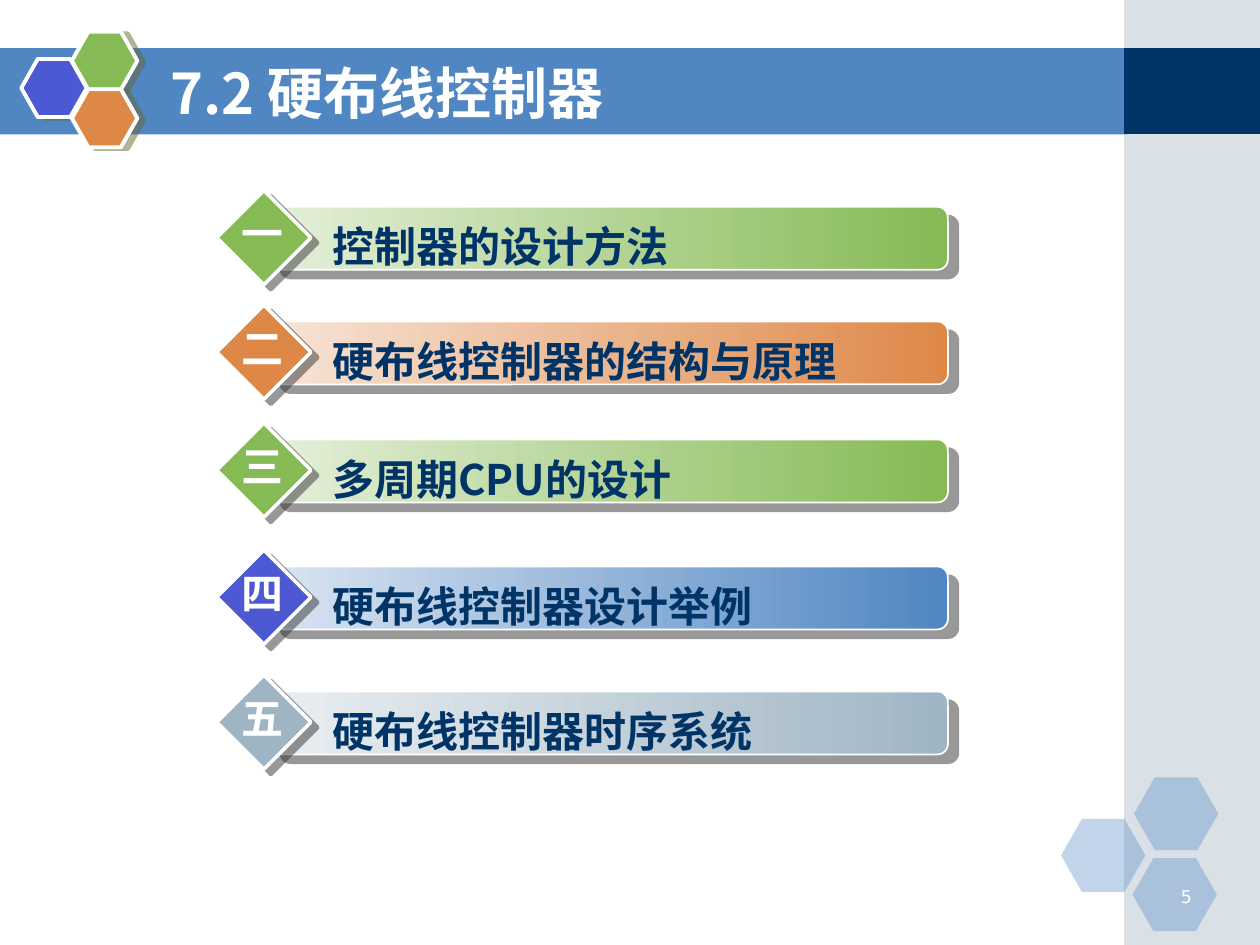
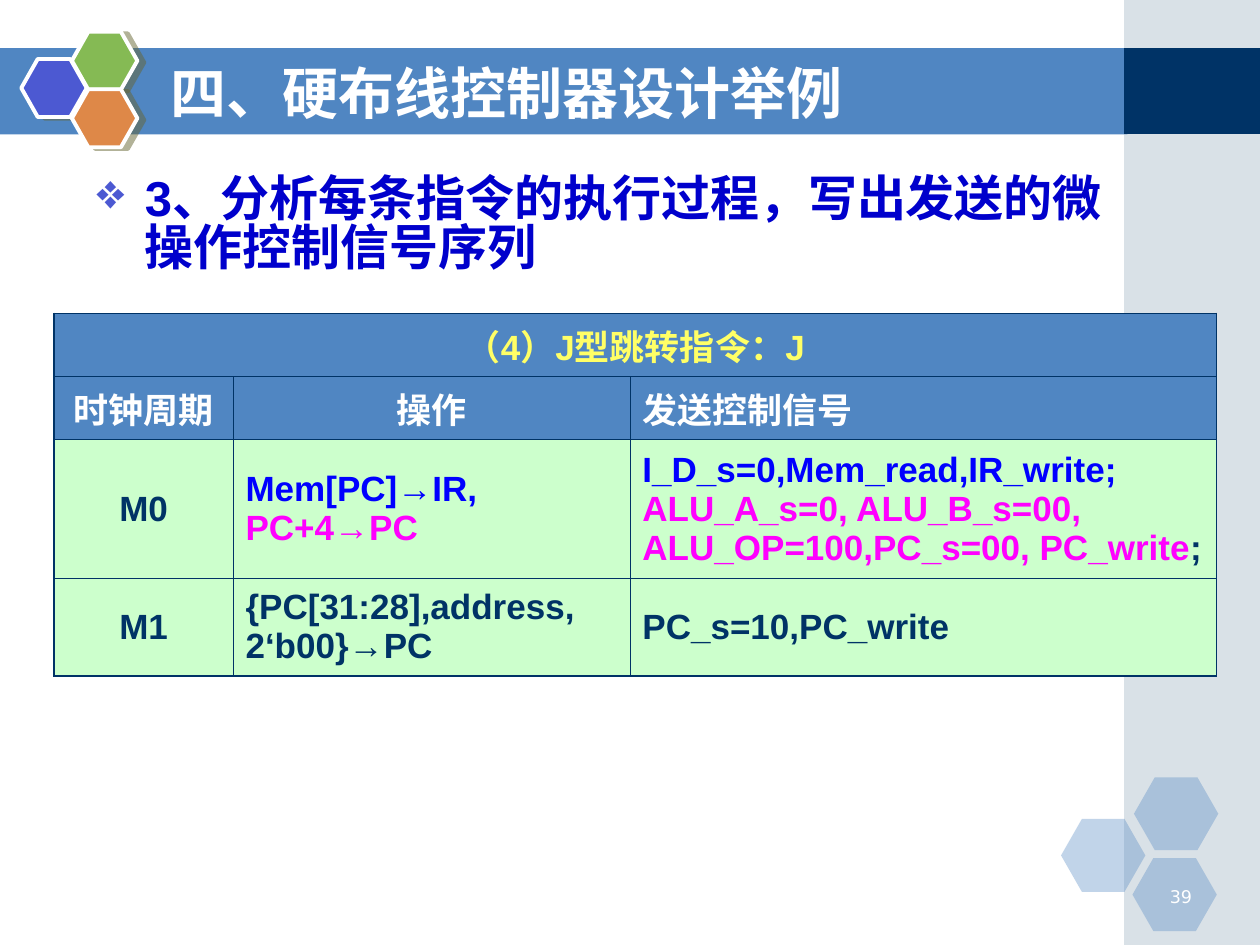
from lxml import etree
from pptx import Presentation
from pptx.dml.color import RGBColor
from pptx.enum.shapes import MSO_SHAPE
from pptx.enum.text import MSO_ANCHOR, MSO_AUTO_SIZE, PP_ALIGN
from pptx.oxml.ns import qn
from pptx.util import Cm, Pt

RECTANGLE = MSO_SHAPE.RECTANGLE
HEXAGON = MSO_SHAPE.HEXAGON
DIAMOND = MSO_SHAPE.DIAMOND
ROUNDED = MSO_SHAPE.ROUNDED_RECTANGLE
LEFT, CENTER, RIGHT = PP_ALIGN.LEFT, PP_ALIGN.CENTER, PP_ALIGN.RIGHT
MIDDLE = MSO_ANCHOR.MIDDLE

WHITE = RGBColor(0xFF, 0xFF, 0xFF)
NAVY = RGBColor(0x00, 0x33, 0x66)
BLUE = RGBColor(0x50, 0x86, 0xC2)
PALE_BLUE = RGBColor(0xD9, 0xE4, 0xF1)
INDIGO = RGBColor(0x4C, 0x59, 0xD2)
GREEN = RGBColor(0x85, 0xBA, 0x54)
PALE_GREEN = RGBColor(0xE4, 0xEF, 0xD9)
ORANGE = RGBColor(0xDE, 0x88, 0x48)
PALE_ORANGE = RGBColor(0xF7, 0xE4, 0xD7)
GREY = RGBColor(0xA0, 0xB5, 0xC4)
PALE_GREY = RGBColor(0xE9, 0xEE, 0xF1)
MINT = RGBColor(0xCC, 0xFF, 0xCC)
YELLOW = RGBColor(0xFF, 0xFF, 0x66)
BODY_BLUE = RGBColor(0x00, 0x00, 0xCC)
SIGNAL_BLUE = RGBColor(0x00, 0x00, 0xFF)
MAGENTA = RGBColor(0xFF, 0x00, 0xFF)
OLIVE_SHADOW = RGBColor(0x66, 0x66, 0x33)
DARK_SHADOW = RGBColor(0x33, 0x33, 0x33)

CJK_FONT = "Noto Sans CJK SC"
TITLE_STYLE = {"name": CJK_FONT, "size": Pt(32), "bold": True}
ITEM_STYLE = {"name": CJK_FONT, "size": Pt(24), "bold": True}
BODY_STYLE = {"name": "Arial", "size": Pt(28), "bold": True}
TABLE_STYLE = {"name": "Arial", "size": Pt(20), "bold": True}
NUMBER_STYLE = {"name": "DejaVu Sans", "size": Pt(10), "bold": False}

AGENDA = [  # top, numeral, wording, diamond colour, bar colour, pale end of bar
    (3.84, "一", "控制器的设计方法", GREEN, GREEN, PALE_GREEN),
    (6.15, "二", "硬布线控制器的结构与原理", ORANGE, ORANGE, PALE_ORANGE),
    (8.53, "三", "多周期CPU的设计", GREEN, GREEN, PALE_GREEN),
    (11.09, "四", "硬布线控制器设计举例", INDIGO, BLUE, PALE_BLUE),
    (13.61, "五", "硬布线控制器时序系统", GREY, GREY, PALE_GREY),
]

COLUMN_WIDTHS = [3.61, 8, 11.82]
ROW_HEIGHTS = [1.27, 1.27, 2.8, 1.96]
SIGNAL_ROWS = [  # each cell is a list of paragraphs, each a list of runs
    [[[("（4）J型跳转指令：J", YELLOW)]]],
    [[[("时钟周期", WHITE)]], [[("操作", WHITE)]], [[("发送控制信号", WHITE)]]],
    [
        [[("M0", NAVY)]],
        [[("Mem[PC]→IR,", SIGNAL_BLUE)], [("PC+4→PC", MAGENTA)]],
        [[("I_D_s=0,Mem_read,IR_write;", SIGNAL_BLUE)],
         [("ALU_A_s=0, ALU_B_s=00, ALU_OP=100,PC_s=00, PC_write", MAGENTA), (";", NAVY)]],
    ],
    [[[("M1", NAVY)]], [[("{PC[31:28],address, 2‘b00}→PC", NAVY)]],
     [[("PC_s=10,PC_write", NAVY)]]],
]


def add_element(parent, tag, **attributes):
    element = etree.SubElement(parent, qn(tag))
    for name, value in attributes.items():
        element.set(name, str(value))
    return element


def place(shape, box):
    for name, value in zip(("left", "top", "width", "height"), box):
        setattr(shape, name, Cm(value))


def add_shape(slide, kind, box, color, alpha=None, line=None, shadow=None, adjust=None):
    """Box in cm; line is a width in points; shadow is colour, distance, angle."""
    shape = slide.shapes.add_shape(kind, *map(Cm, box))
    shape.shadow.inherit = False
    if adjust is not None:
        shape.adjustments[0] = adjust
    shape.fill.solid()
    shape.fill.fore_color.rgb = color
    properties = shape.element.spPr
    if alpha:
        add_element(next(properties.iter(qn("a:srgbClr"))), "a:alpha", val=alpha * 1000)
    if line:
        shape.line.color.rgb = WHITE
        shape.line.width = Pt(line)
    else:
        shape.line.fill.background()
    if shadow:
        shade, distance, angle = shadow
        outer = add_element(properties.find(qn("a:effectLst")), "a:outerShdw",
                            blurRad=0, dist=int(Pt(distance)), dir=angle * 60000,
                            algn="ctr", rotWithShape=0)
        add_element(add_element(outer, "a:srgbClr", val=shade), "a:alpha", val=50000)
    return shape


def write(frame, paragraphs, style, align=LEFT):
    """Fill a text frame with paragraphs, each a list of (text, colour) runs."""
    for index, runs in enumerate(paragraphs):
        paragraph = frame.add_paragraph() if index else frame.paragraphs[0]
        paragraph.alignment = align
        for text, color in runs:
            run = paragraph.add_run()
            run.text = text
            for name, value in style.items():
                setattr(run.font, name, value)
            run.font.color.rgb = color
            add_element(run.font._element, "a:ea", typeface=CJK_FONT)


def add_text(slide, box, text, color, style, align=LEFT, wrap=True):
    frame = slide.shapes.add_textbox(*map(Cm, box)).text_frame
    frame.word_wrap = wrap
    write(frame, [[(text, color)]], style, align)
    return frame


def add_hexagons(slide, left, top, size, cells, **look):
    """Place a cluster of hexagons, given as offsets and colours."""
    for across, down, color in cells:
        add_shape(slide, HEXAGON, (left + across, top + down, *size), color, **look)


def add_title(slide, text):
    title = slide.shapes.title
    slide.shapes.element.append(title.element)
    place(title, (3.18, 1.07, 18.62, 1.57))
    frame = title.text_frame
    frame.auto_size = MSO_AUTO_SIZE.NONE
    frame.vertical_anchor = MIDDLE
    write(frame, [[(text, WHITE)]], TITLE_STYLE)


def add_framed_slide(presentation, title, number):
    """Add a slide with the shared bands, hexagons, title and page number."""
    slide = presentation.slides.add_slide(presentation.slide_layouts[5])
    add_shape(slide, RECTANGLE, (0, 0.97, 22.73, 1.74), BLUE)
    add_shape(slide, RECTANGLE, (22.66, 0, 2.74, 19.05), GREY, alpha=40)
    add_shape(slide, RECTANGLE, (22.66, 0.97, 2.74, 1.73), NAVY)
    add_hexagons(slide, 21.39, 15.67, (1.7, 1.47),
                 [(0, 0.84, BLUE), (1.47, 0, BLUE), (1.44, 1.63, BLUE)],
                 alpha=35, adjust=0.286)
    add_hexagons(slide, 0.43, 0.64, (1.32, 1.17),
                 [(0, 0.55, INDIGO), (1.02, 0, GREEN), (1.02, 1.16, ORANGE)],
                 line=2.25, shadow=(OLIVE_SHADOW, 4.1, 14), adjust=0.283)
    add_title(slide, title)
    add_text(slide, (23.01, 17.73, 1.27, 0.64), number, WHITE, NUMBER_STYLE, RIGHT)
    return slide


def add_agenda_item(slide, left, top, numeral, text, color, bar_color, pale):
    bar = add_shape(slide, ROUNDED, (left + 1.07, top + 0.33, 13.67, 1.27), bar_color,
                    line=1, shadow=(DARK_SHADOW, 7.8, 40), adjust=0.167)
    bar.fill.gradient()
    bar.fill.gradient_angle = 180
    for stop, stop_color in zip(bar.fill.gradient_stops, (bar_color, pale)):
        stop.color.rgb = stop_color
    add_shape(slide, DIAMOND, (left, top, 1.9, 1.9), color,
              line=2, shadow=(DARK_SHADOW, 5, 37))
    add_text(slide, (left + 2.08, top + 0.48, 11.5, 1.27), text, NAVY, ITEM_STYLE)
    add_text(slide, (left + 0.25, top + 0.22, 1.35, 1.27), numeral, WHITE, ITEM_STYLE,
             CENTER, wrap=False)


def add_bullet_heading(slide, box, text):
    paragraph = add_text(slide, box, text, BODY_BLUE, BODY_STYLE).paragraphs[0]
    properties = paragraph._p.get_or_add_pPr()
    properties.set("marL", str(Cm(0.97)))
    properties.set("indent", str(-Cm(0.97)))
    add_element(add_element(properties, "a:buClr"), "a:srgbClr", val=INDIGO)
    add_element(properties, "a:buChar", char="❖")
    paragraph.line_spacing = 0.83


def set_borders(cell, outer_sides):
    """Draw the four borders, thicker on the outer sides of the table."""
    properties = cell._tc.get_or_add_tcPr()
    for index, side in enumerate("LRTB"):
        width = Pt(1.08) if side in outer_sides else Pt(0.45)
        border = add_element(properties, f"a:ln{side}", w=int(width))
        add_element(add_element(border, "a:solidFill"), "a:srgbClr", val=NAVY)
        properties.insert(index, border)


def add_signal_table(slide, left, top):
    row_count, column_count = len(ROW_HEIGHTS), len(COLUMN_WIDTHS)
    box = (left, top, sum(COLUMN_WIDTHS), sum(ROW_HEIGHTS))
    table = slide.shapes.add_table(row_count, column_count, *map(Cm, box)).table
    for column, width in zip(table.columns, COLUMN_WIDTHS):
        column.width = Cm(width)
    for row, height in zip(table.rows, ROW_HEIGHTS):
        row.height = Cm(height)
    table.cell(0, 0).merge(table.cell(0, column_count - 1))

    for row, contents in enumerate(SIGNAL_ROWS):
        for column, paragraphs in enumerate(contents):
            cell = table.cell(row, column)
            cell.vertical_anchor = MIDDLE
            cell.margin_left = cell.margin_right = Cm(0.25)
            cell.margin_top = cell.margin_bottom = Cm(0.13)
            cell.fill.solid()
            cell.fill.fore_color.rgb = BLUE if row < 2 else MINT
            centered = column == 0 or (row, column) == (1, 1)
            write(cell.text_frame, paragraphs, TABLE_STYLE, CENTER if centered else LEFT)
            edges = {"L": column == 0, "R": column == len(contents) - 1,
                     "T": row == 0, "B": row == row_count - 1}
            set_borders(cell, [side for side, outer in edges.items() if outer])


def build_agenda_slide(presentation):
    slide = add_framed_slide(presentation, "7.2 硬布线控制器", "5")
    for top, *item in AGENDA:
        add_agenda_item(slide, 4.37, top, *item)


def build_signal_slide(presentation):
    slide = add_framed_slide(presentation, "四、硬布线控制器设计举例", "39")
    add_bullet_heading(slide, (1.7, 3.45, 21.21, 2.87),
                       "3、分析每条指令的执行过程，写出发送的微操作控制信号序列")
    add_signal_table(slide, 1.09, 6.32)


def main():
    presentation = Presentation()
    presentation.slide_width = Cm(25.4)
    presentation.slide_height = Cm(19.05)
    build_agenda_slide(presentation)
    build_signal_slide(presentation)
    presentation.save("out.pptx")


if __name__ == "__main__":
    main()
